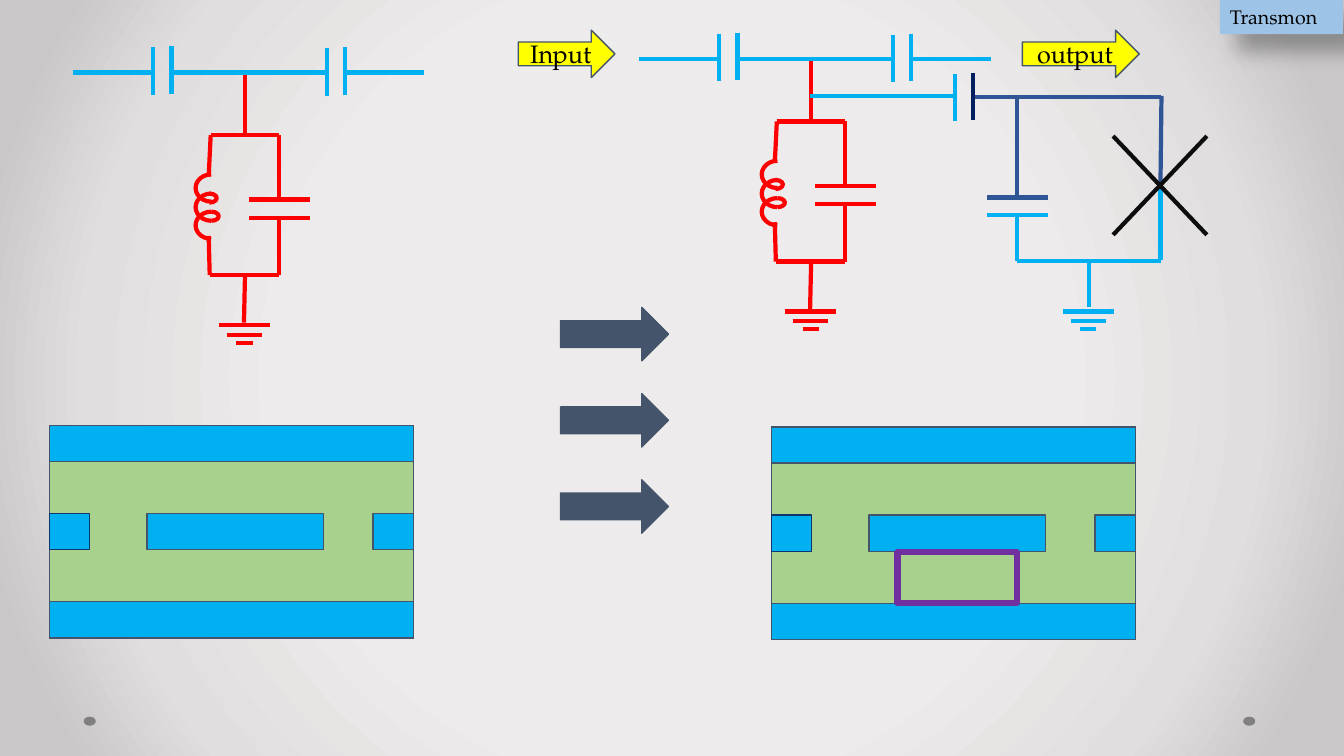
from lxml.etree import fromstring, SubElement
from pptx import Presentation
from pptx.dml.color import RGBColor
from pptx.enum.shapes import MSO_CONNECTOR as Link, MSO_SHAPE as Shape
from pptx.enum.text import MSO_ANCHOR as Anchor, PP_ALIGN as Align
from pptx.oxml.ns import qn
from pptx.util import Inches, Pt

CELL = Inches(0.1)
DRAWING = "http://schemas.openxmlformats.org/drawingml/2006/main"
FONT = "TeX Gyre Pagella"
SKY, RED, NAVY, STEEL = "00B0F0", "FF0000", "002060", "2F5597"
SLATE, GREEN, YELLOW, PURPLE = "44546A", "A9D18E", "FFFF00", "7030A0"
BACKDROP = [(50, "EDEBEB"), (76, "E0DEDE"), (92, "C9C7C7")]


def cells(*counts):
    """Turn counts of tenth-inch grid cells into lengths."""
    return [round(count * CELL) for count in counts]


def colour(code):
    """Turn a hex string into a colour."""
    return RGBColor.from_string(code)


def write(holder, words, size=18, align=Align.CENTER, anchor=Anchor.MIDDLE, ink="000000"):
    """Put one formatted line of text in a shape."""
    frame = holder.text_frame
    frame.word_wrap = False
    frame.vertical_anchor = anchor
    line = frame.paragraphs[0]
    line.alignment = align
    run = line.add_run()
    run.text = words
    run.font.size = Pt(size)
    run.font.name = FONT
    run.font.color.rgb = colour(ink)


class Diagram:
    """Draws circuit and chip parts on one slide."""

    def __init__(self, slide):
        """Keep the slide and the drawing offset."""
        self.slide = slide
        self.dx = self.dy = 0

    def move(self, dx, dy):
        """Shift everything drawn next."""
        self.dx, self.dy = dx, dy

    def backdrop(self, stops):
        """Fill the background with a round gradient."""
        self.slide.background.fill.solid()
        properties = self.slide.element.find(".//" + qn("p:bgPr"))
        steps = "".join(
            f'<a:gs pos="{share * 1000}"><a:srgbClr val="{code}"/></a:gs>' for share, code in stops
        )
        gradient = fromstring(
            f'<a:gradFill xmlns:a="{DRAWING}" rotWithShape="1"><a:gsLst>{steps}</a:gsLst>'
            '<a:path path="circle"><a:fillToRect l="50000" t="50000" r="50000" b="50000"/>'
            "</a:path></a:gradFill>"
        )
        properties.replace(properties.find(qn("a:solidFill")), gradient)

    def block(self, kind, left, top, width, height, fill=None, edge=SLATE, weight=1):
        """Draw a preset shape."""
        part = self.slide.shapes.add_shape(
            kind, *cells(left + self.dx, top + self.dy, width, height))
        part.shadow.inherit = False
        if fill:
            part.fill.solid()
            part.fill.fore_color.rgb = colour(fill)
        else:
            part.fill.background()
        if edge:
            part.line.color.rgb = colour(edge)
            part.line.width = Pt(weight)
        else:
            part.line.fill.background()
        return part

    def wires(self, ink, *spans):
        """Draw straight wires, each given by its two ends."""
        for x1, y1, x2, y2 in spans:
            ends = cells(x1 + self.dx, y1 + self.dy, x2 + self.dx, y2 + self.dy)
            wire = self.slide.shapes.add_connector(Link.STRAIGHT, *ends)
            wire.line.color.rgb = colour(ink)
            wire.line.width = Pt(3)
            SubElement(wire.element.spPr, qn("a:effectLst"))

    def half_turn(self, left, top, width, height, rotation):
        """Draw one half loop of a coil."""
        loop = self.block(Shape.ARC, left, top, width, height, edge=RED, weight=3)
        loop.adjustments[0], loop.adjustments[1] = 108.08, 0
        loop.rotation = rotation

    def ground(self, centre, top, ink):
        """Draw the three bars of a ground symbol."""
        bars = [(2.55, 0), (1.7, 0.95), (0.8, 1.75)]
        self.wires(ink, *[(centre - half, top + drop, centre + half, top + drop)
                          for half, drop in bars])

    def resonator(self):
        """Draw the feed line with its grounded resonator."""
        self.wires(RED, (24.3, 7, 24.3, 13.4), (20.9, 13.4, 27.7, 13.4), (20.9, 13.4, 20.7, 17.5),
                   (27.7, 13.4, 27.7, 19.8), (24.7, 19.8, 30.7, 19.8), (24.7, 21.6, 30.7, 21.6),
                   (27.7, 21.7, 27.7, 27.3), (20.7, 23.4, 20.8, 27.3), (20.8, 27.3, 27.7, 27.3),
                   (24.3, 27.3, 24.2, 32))
        self.ground(24.25, 32.25, RED)
        self.wires(SKY, (7.2, 7.2, 15.2, 7.2), (17, 7.2, 32.4, 7.2), (34.2, 7.2, 42.1, 7.2))
        self.wires(SKY, *[(x, middle - 2.35, x, middle + 2.35) for x, middle in
                          [(15.2, 7.05), (17, 6.95), (32.4, 7.15), (34.2, 7.05)]])
        for top in (20.8, 19, 17.1):
            self.half_turn(19.6, top, 2.7, 3.1, 270)
        for left, top in [(20.3, 18.9), (20.5, 20.7)]:
            self.half_turn(left, top, 0.9, 1.5, 90)

    def chip(self):
        """Draw the chip layout seen from above."""
        self.block(Shape.RECTANGLE, 0, 0, 36.1, 21.1, GREEN)
        for top in (0, 17.5):
            self.block(Shape.RECTANGLE, 0, top, 36.1, 3.6, SKY)
        for left, width, edge in [(0, 4, "0D366E"), (9.7, 17.5, SLATE), (32.1, 4, SLATE)]:
            self.block(Shape.RECTANGLE, left, 8.75, width, 3.6, SKY, edge)

    def qubit(self):
        """Draw the coupled transmon circuit."""
        self.wires(SKY, (80.3, 9.5, 94.6, 9.5), (94.7, 7.3, 94.7, 12), (97.9, 21.3, 103.9, 21.3),
                   (100.9, 21.3, 100.9, 25.9), (100.9, 25.9, 115.2, 25.9),
                   (108, 25.9, 108, 30.5), (115.1, 18.5, 115.1, 25.8))
        self.ground(107.95, 30.9, SKY)
        self.wires(STEEL, (96.5, 9.6, 115.2, 9.6), (100.9, 9.5, 100.9, 19.5),
                   (97.9, 19.6, 103.9, 19.6), (115.2, 9.5, 115.1, 18.1))
        self.wires(NAVY, (96.5, 7.2, 96.5, 11.9))
        self.wires("0D0D0D", (110.4, 13.5, 119.7, 23.3), (119.7, 13.5, 110.4, 23.3))

    def tag(self, words):
        """Draw the corner label with its soft shadow."""
        label = self.block(Shape.RECTANGLE, 121, 0, 12.2, 3.4, "9DC3E6", None)
        write(label, words, size=14, align=Align.LEFT, anchor=Anchor.TOP)
        effects = label.element.spPr.find(qn("a:effectLst"))
        effects.append(fromstring(
            f'<a:outerShdw xmlns:a="{DRAWING}" blurRad="{Pt(15)}" dist="{Pt(18)}" dir="2700000" '
            'algn="tl" rotWithShape="0"><a:srgbClr val="000000"><a:alpha val="30000"/>'
            "</a:srgbClr></a:outerShdw>"))


def main():
    """Build the slide and save it."""
    deck = Presentation()
    deck.slide_width, deck.slide_height = Inches(13.33), Inches(7.5)
    diagram = Diagram(deck.slides.add_slide(deck.slide_layouts[6]))
    diagram.backdrop(BACKDROP)
    for left in (8.3, 123.3):
        diagram.block(Shape.OVAL, left, 71.1, 1.2, 0.9, "808080", None)
    for chip_place in [(4.9, 42.2), (76.5, 42.35)]:
        diagram.move(*chip_place)
        diagram.chip()
    for circuit_place in [(0, 0), (56.15, -1.35)]:
        diagram.move(*circuit_place)
        diagram.resonator()
    diagram.move(0, 0)
    diagram.block(Shape.RECTANGLE, 89, 54.8, 11.9, 5, edge=PURPLE, weight=4.5)
    diagram.qubit()
    for words, left, width in [("Input", 51.4, 9.6), ("output", 101.4, 11.6)]:
        write(diagram.block(Shape.RIGHT_ARROW, left, 3, width, 4.7, YELLOW), words)
    for step in range(3):
        diagram.block(Shape.RIGHT_ARROW, 55.6, 30.5 + 8.55 * step, 10.7, 5.3, SLATE)
    diagram.tag("Transmon")
    deck.save("out.pptx")


if __name__ == "__main__":
    main()
